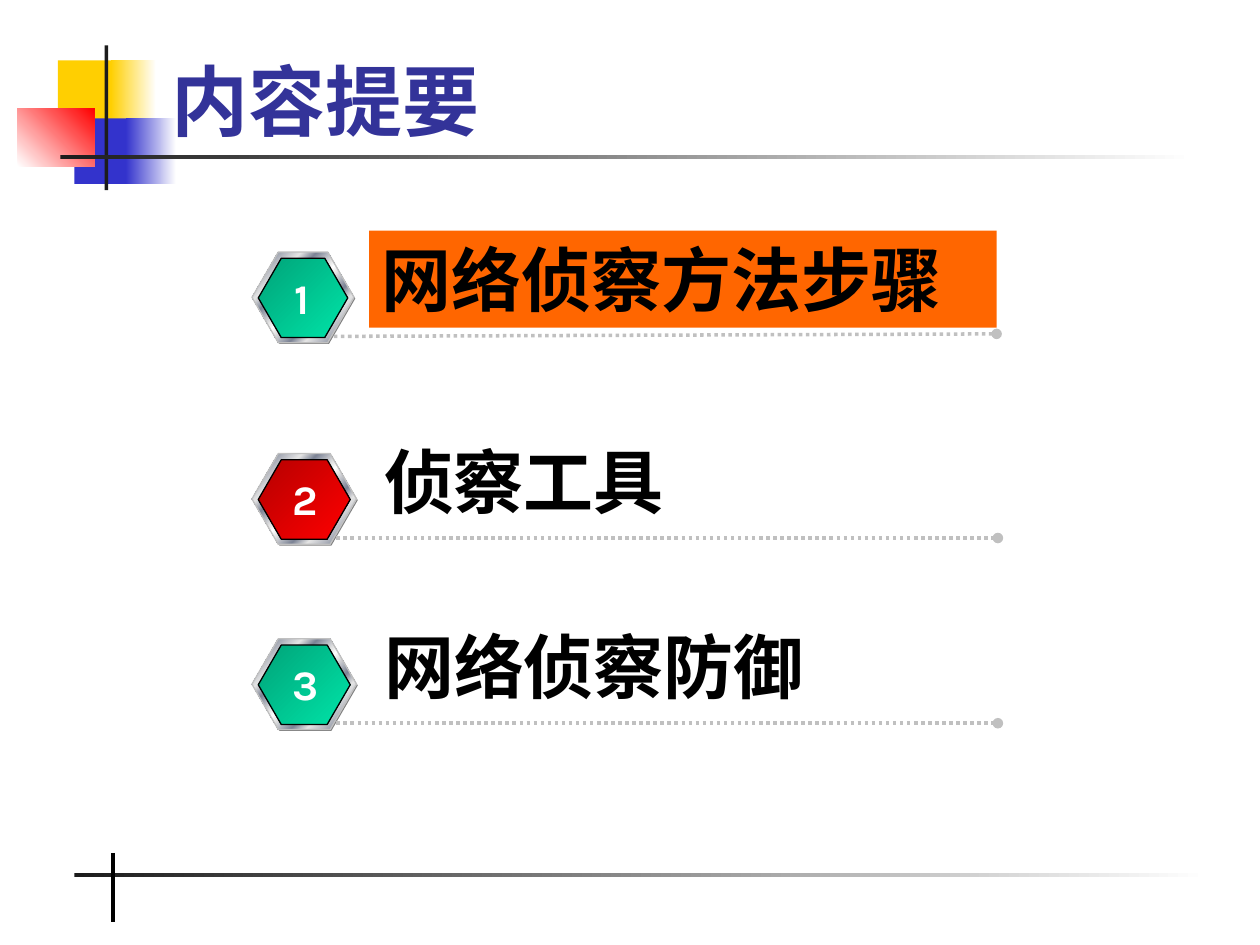
from lxml import etree
from pptx import Presentation
from pptx.dml.color import RGBColor
from pptx.enum.dml import MSO_LINE
from pptx.enum.shapes import MSO_CONNECTOR, MSO_SHAPE
from pptx.enum.text import MSO_ANCHOR, PP_ALIGN
from pptx.oxml.ns import qn
from pptx.util import Inches, Pt

RECTANGLE, HEXAGON = MSO_SHAPE.RECTANGLE, MSO_SHAPE.HEXAGON
STRAIGHT, DOTTED = MSO_CONNECTOR.STRAIGHT, MSO_LINE.ROUND_DOT
TOP, BOTTOM = MSO_ANCHOR.TOP, MSO_ANCHOR.BOTTOM
LEFT, CENTER = PP_ALIGN.LEFT, PP_ALIGN.CENTER

BLACK = RGBColor(0x00, 0x00, 0x00)
WHITE = RGBColor(0xFF, 0xFF, 0xFF)
CHARCOAL = RGBColor(0x1C, 0x1C, 0x1C)
GRAY = RGBColor(0x80, 0x80, 0x80)
SILVER = RGBColor(0xC0, 0xC0, 0xC0)
STEEL = RGBColor(0x7D, 0x84, 0x96)
PEARL = RGBColor(0xE6, 0xE6, 0xE6)
YELLOW = RGBColor(0xFF, 0xCF, 0x01)
BLUE = RGBColor(0x33, 0x33, 0xCC)
NAVY = RGBColor(0x33, 0x33, 0x99)
RED = RGBColor(0xFF, 0x00, 0x00)
DARK_RED = RGBColor(0xB6, 0x00, 0x00)
GREEN = RGBColor(0x00, 0xA3, 0x78)
MINT = RGBColor(0x00, 0xE4, 0xA8)
ORANGE = RGBColor(0xFF, 0x66, 0x00)

METAL = [(0, PEARL), (8, STEEL), (26, PEARL), (34, STEEL), (46, PEARL), (50, WHITE),
         (54, PEARL), (66, STEEL), (74, PEARL), (92, STEEL), (100, PEARL)]
GREEN_FACE = [(0, GREEN), (100, MINT)]
RED_FACE = [(0, DARK_RED), (100, RED)]


def write_text(shape, text, size=40, font="Karla", color=BLACK, align=LEFT,
               anchor=TOP, wrap=True):
    """Put one bold formatted paragraph into a shape."""
    frame = shape.text_frame
    frame.word_wrap = wrap
    frame.vertical_anchor = anchor
    paragraph = frame.paragraphs[0]
    paragraph.alignment = align
    run = paragraph.add_run()
    run.text = text
    run.font.size = Pt(size)
    run.font.name = font
    run.font.bold = True
    run.font.color.rgb = color


class SlideBuilder:
    """Hold the style and the current slide."""

    def __init__(self, slide):
        """Keep the slide that receives the elements."""
        self.slide = slide

    def fill_gradient(self, shape, stops, angle):
        """Fill a shape with a linear gradient at a clockwise angle."""
        shape.fill.gradient()
        shape.fill.gradient_angle = -angle % 360
        stop_list = shape.element.spPr.find(".//" + qn("a:gsLst"))
        for stop in list(stop_list):
            stop_list.remove(stop)
        for position, color in stops:
            stop = etree.SubElement(stop_list, qn("a:gs"), pos=str(position * 1000))
            etree.SubElement(stop, qn("a:srgbClr"), val=str(color))

    def shape(self, kind, left, top, width, height, fill, angle=0, outline=None):
        """Add a preset shape with a solid or gradient fill."""
        shape = self.slide.shapes.add_shape(
            kind, Inches(left), Inches(top), Inches(width), Inches(height))
        shape.shadow.inherit = False
        if isinstance(fill, list):
            self.fill_gradient(shape, fill, angle)
        else:
            shape.fill.solid()
            shape.fill.fore_color.rgb = fill
        if outline is None:
            shape.line.fill.background()
        else:
            shape.line.color.rgb = outline
            shape.line.width = Pt(0.75)
        if kind == HEXAGON:
            shape.adjustments[0] = 0.29
        return shape

    def fade(self, left, top, width, height, color):
        """Add a rectangle that fades to white on the right."""
        self.shape(RECTANGLE, left, top, width, height, [(0, color), (100, WHITE)])

    def line(self, start, end, color, width, dotted=False):
        """Add a straight line, or a dotted one that ends in a dot."""
        line = self.slide.shapes.add_connector(
            STRAIGHT, *(Inches(value) for value in (*start, *end)))
        line.line.color.rgb = color
        line.line.width = Pt(width)
        if dotted:
            line.line.dash_style = DOTTED
            outline = line.element.spPr.find(qn("a:ln"))
            etree.SubElement(outline, qn("a:tailEnd"), type="oval")
        etree.SubElement(line.element.spPr, qn("a:effectLst"))

    def text(self, left, top, width, height, text, **style):
        """Add a text box."""
        box = self.slide.shapes.add_textbox(
            Inches(left), Inches(top), Inches(width), Inches(height))
        write_text(box, text, **style)

    def badge(self, top, width, face):
        """Add a metal-rimmed hexagon."""
        self.shape(HEXAGON, 2.01, top + 0.01, width, 0.72, GRAY)
        self.shape(HEXAGON, 2, top, width, 0.72, METAL, 45, SILVER)
        self.shape(HEXAGON, 2.05, top + 0.05, width - 0.1, 0.63, face, 45, BLACK)

    def item(self, number, text, top, badge_width, text_width, face,
             line_end, highlight=None):
        """Add one numbered agenda entry."""
        self.badge(top, badge_width, face)
        self.line((badge_width + 1.84, top + 0.67), line_end, SILVER, 2, dotted=True)
        area = (badge_width + 2.12, top - 0.17, text_width, 0.77)
        if highlight is None:
            self.text(*area, text)
        else:
            write_text(self.shape(RECTANGLE, *area, highlight), text)
        self.text(badge_width + 1.39, top + 0.11, 0.39, 0.51, str(number),
                  size=24, color=WHITE, align=CENTER, wrap=False)

    def decoration(self):
        """Add the coloured blocks and the rules of the page."""
        self.shape(RECTANGLE, 0.46, 0.48, 0.48, 0.52, YELLOW)
        self.fade(0.88, 0.48, 0.36, 0.52, YELLOW)
        self.shape(RECTANGLE, 0.59, 0.94, 0.46, 0.52, BLUE)
        self.fade(1, 0.94, 0.4, 0.52, BLUE)
        self.shape(RECTANGLE, 0.14, 0.86, 0.61, 0.46, [(0, WHITE), (100, RED)], 315)
        self.shape(RECTANGLE, 0.83, 0.36, 0.03, 1.15, CHARCOAL)
        self.fade(0.48, 1.23, 9, 0.03, CHARCOAL)
        self.fade(0.59, 6.93, 9, 0.03, CHARCOAL)
        self.line((0.9, 6.77), (0.9, 7.32), BLACK, 2.25)


def main():
    """Build and save the agenda slide."""
    presentation = Presentation()
    presentation.slide_width = Inches(10)
    presentation.slide_height = Inches(7.5)
    builder = SlideBuilder(presentation.slides.add_slide(presentation.slide_layouts[6]))
    builder.decoration()
    builder.text(1.26, 0.16, 8.52, 1.05, "内容提要", size=44,
                 font="Times New Roman", color=NAVY, anchor=BOTTOM)
    builder.item(1, "网络侦察方法步骤", 2, 0.81, 4.98, GREEN_FACE, (7.91, 2.65), ORANGE)
    builder.item(2, "侦察工具", 3.6, 0.83, 5.43, RED_FACE, (7.92, 4.27))
    builder.item(3, "网络侦察防御", 5.07, 0.83, 4.88, GREEN_FACE, (7.92, 5.74))
    presentation.save("out.pptx")


if __name__ == "__main__":
    main()
